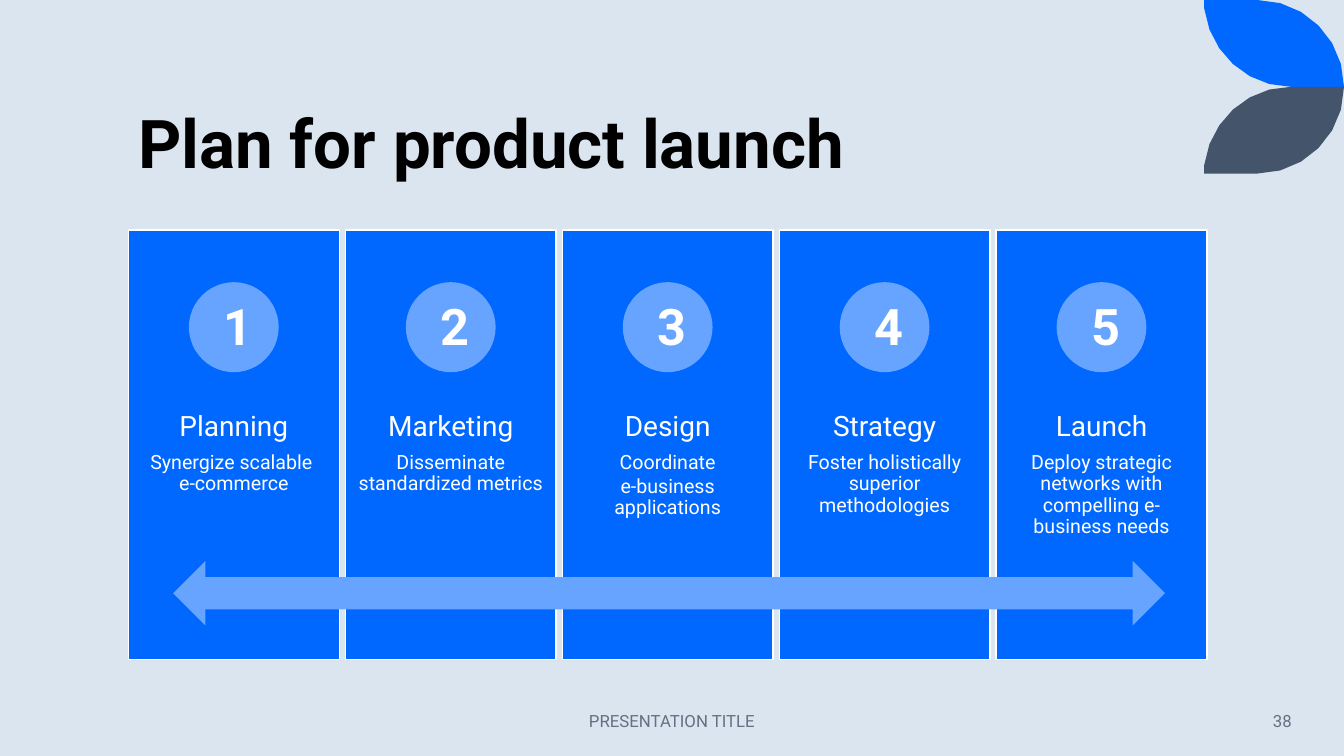
"""Builds the product launch plan slide on a grid of 100 columns by 100 rows."""
import dataclasses
import typing

import pptx
import pptx.dml.color
import pptx.enum.shapes
import pptx.enum.text
import pptx.util

WIDTH = pptx.util.Inches(13.33)
HEIGHT = pptx.util.Inches(7.5)
FONT = "Roboto"
BLUE, LIGHT_BLUE, SLATE = "0068FF", "66A4FF", "44546A"
WHITE, BLACK, GREY, PALE = "FFFFFF", "000000", "637183", "DAE5EF"
SHAPE = pptx.enum.shapes.MSO_SHAPE
ALIGN = pptx.enum.text.PP_ALIGN
ANCHOR = pptx.enum.text.MSO_ANCHOR
CARD_LEFT, CARD_WIDTH, CARD_PITCH = 9.56, 15.68, 16.14
CIRCLE_WIDTH = 6.68
CURVE_STEPS = 6
Point = tuple[float, float]


@dataclasses.dataclass(frozen=True)
class Area:
    """A rectangle in grid columns and rows."""
    left: float
    top: float
    width: float
    height: float

    def place(self) -> tuple[int, int, int, int]:
        """Return left, top, width and height as slide lengths."""
        return (column(self.left), row(self.top), column(self.width), row(self.height))


@dataclasses.dataclass(frozen=True)
class Step:
    """One stage of the launch plan."""
    name: str
    details: tuple[str, ...]


@dataclasses.dataclass(frozen=True)
class Style:
    """The look of one paragraph."""
    size: float
    color: str = WHITE
    bold: bool = False
    align: ALIGN = ALIGN.CENTER
    spacing: float = 1.0
    after: float = 0


STEPS = (
    Step("Planning", ("Synergize scalable \ne-commerce",)),
    Step("Marketing", ("Disseminate standardized metrics",)),
    Step("Design", ("Coordinate", "e-business applications")),
    Step("Strategy", ("Foster holistically superior methodologies",)),
    Step("Launch", ("Deploy strategic networks with compelling e-business needs",)),
)
TITLE = Style(48, BLACK, bold=True, align=ALIGN.LEFT, spacing=0.9)
STEP_NAME = Style(20, spacing=0.9, after=7)
STEP_DETAIL = Style(14, spacing=0.9, after=2.1)
STEP_NUMBER = Style(36, bold=True)


def column(count: float) -> int:
    """Return the length of a number of grid columns."""
    return round(WIDTH * count / 100)


def row(count: float) -> int:
    """Return the length of a number of grid rows."""
    return round(HEIGHT * count / 100)


def paint(fill: typing.Any, color: str) -> None:
    """Give a fill one solid colour."""
    fill.solid()
    fill.fore_color.rgb = pptx.dml.color.RGBColor.from_string(color)


def write(para: typing.Any, text: str, style: Style) -> None:
    """Set the text of a paragraph and format it."""
    para.text = text
    para.alignment = style.align
    para.line_spacing = style.spacing
    para.space_after = pptx.util.Pt(style.after)
    for span in para.runs:
        span.font.name = FONT
        span.font.size = pptx.util.Pt(style.size)
        span.font.bold = style.bold
        span.font.color.rgb = pptx.dml.color.RGBColor.from_string(style.color)


def finish(shape: typing.Any, color: str, outline: str | None = None) -> None:
    """Fill a shape, and outline it if a colour is given."""
    shape.shadow.inherit = False
    paint(shape.fill, color)
    if outline:
        paint(shape.line.fill, outline)
        shape.line.width = pptx.util.Pt(1)
    else:
        shape.line.fill.background()


def add_preset(page: typing.Any, kind: SHAPE, area: Area, color: str,
               outline: str | None = None) -> None:
    """Add a preset shape."""
    finish(page.shapes.add_shape(kind, *area.place()), color, outline)


def add_text(page: typing.Any, area: Area, lines: list[tuple[str, Style]],
             anchor: ANCHOR = ANCHOR.TOP, inset: float | None = None) -> None:
    """Add a wrapping text box with one paragraph for each line."""
    frame = page.shapes.add_textbox(*area.place()).text_frame
    frame.word_wrap = True
    frame.vertical_anchor = anchor
    if inset is not None:
        margin = pptx.util.Inches(inset)
        frame.margin_left = frame.margin_right = margin
        frame.margin_top = frame.margin_bottom = margin
    for index, (text, style) in enumerate(lines):
        para = frame.add_paragraph() if index else frame.paragraphs[0]
        write(para, text, style)


def curve(start: Point, first: Point, second: Point, end: Point) -> list[Point]:
    """Return a few points along a cubic curve."""
    points = []
    for tick in range(CURVE_STEPS + 1):
        t = tick / CURVE_STEPS
        weights = ((1 - t) ** 3, 3 * t * (1 - t) ** 2, 3 * t * t * (1 - t), t ** 3)
        knots = (start, first, second, end)
        points.append((sum(w * k[0] for w, k in zip(weights, knots)),
                       sum(w * k[1] for w, k in zip(weights, knots))))
    return points


def add_leaf(page: typing.Any, color: str, mirrored: bool) -> None:
    """Add a corner leaf, mirrored below the first one if asked."""
    outline = [(0, 0)]
    outline += curve((0.38, 0), (0.72, 0), (1, 0.45), (1, 1))
    outline += curve((0.62, 1), (0.3, 1), (0.04, 0.6), (0, 0.1))
    points = [(column(89.6 + 10.4 * x), row(11.48 * (2 - y if mirrored else y)))
              for x, y in outline]
    builder = page.shapes.build_freeform(*points[0])
    builder.add_line_segments(points[1:], close=True)
    finish(builder.convert_to_shape(), color)


def add_title(page: typing.Any, text: str) -> None:
    """Place and format the title."""
    title = page.shapes.title
    title.left, title.top, title.width, title.height = Area(9.54, 2, 80.2, 22.93).place()
    frame = title.text_frame
    frame.auto_size = pptx.enum.text.MSO_AUTO_SIZE.NONE
    frame.vertical_anchor = ANCHOR.BOTTOM
    write(frame.paragraphs[0], text, TITLE)


def add_step(page: typing.Any, index: int, step: Step) -> None:
    """Add the card, circle and words of one step."""
    left = CARD_LEFT + index * CARD_PITCH
    add_preset(page, SHAPE.RECTANGLE, Area(left, 30.45, CARD_WIDTH, 56.8), BLUE, WHITE)
    lines = [(step.name, STEP_NAME)] + [(text, STEP_DETAIL) for text in step.details]
    add_text(page, Area(left, 53.12, CARD_WIDTH, 22.67), lines, inset=0.11)
    circle_left = left + (CARD_WIDTH - CIRCLE_WIDTH) / 2
    add_preset(page, SHAPE.OVAL, Area(circle_left, 37.33, CIRCLE_WIDTH, 11.9), LIGHT_BLUE)
    add_text(page, Area(left + 6.33, 38.4, 2.85, 9.47), [(str(index + 1), STEP_NUMBER)])


def main() -> None:
    """Build and save the deck."""
    deck = pptx.Presentation()
    deck.slide_width, deck.slide_height = WIDTH, HEIGHT
    page = deck.slides.add_slide(deck.slide_layouts.get_by_name("Title Only"))
    paint(page.background.fill, PALE)
    add_leaf(page, BLUE, mirrored=False)
    add_leaf(page, SLATE, mirrored=True)
    add_title(page, "Plan for product launch")
    for index, step in enumerate(STEPS):
        add_step(page, index, step)
    add_preset(page, SHAPE.LEFT_RIGHT_ARROW, Area(12.88, 74.2, 73.8, 8.53), LIGHT_BLUE)
    add_text(page, Area(33.12, 92.67, 33.76, 5.33),
             [("PRESENTATION TITLE", Style(12, GREY))], ANCHOR.MIDDLE)
    add_text(page, Area(83.27, 92.67, 13.58, 5.33),
             [("38", Style(12, GREY, align=ALIGN.RIGHT))], ANCHOR.MIDDLE)
    deck.save("out.pptx")


if __name__ == "__main__":
    main()
